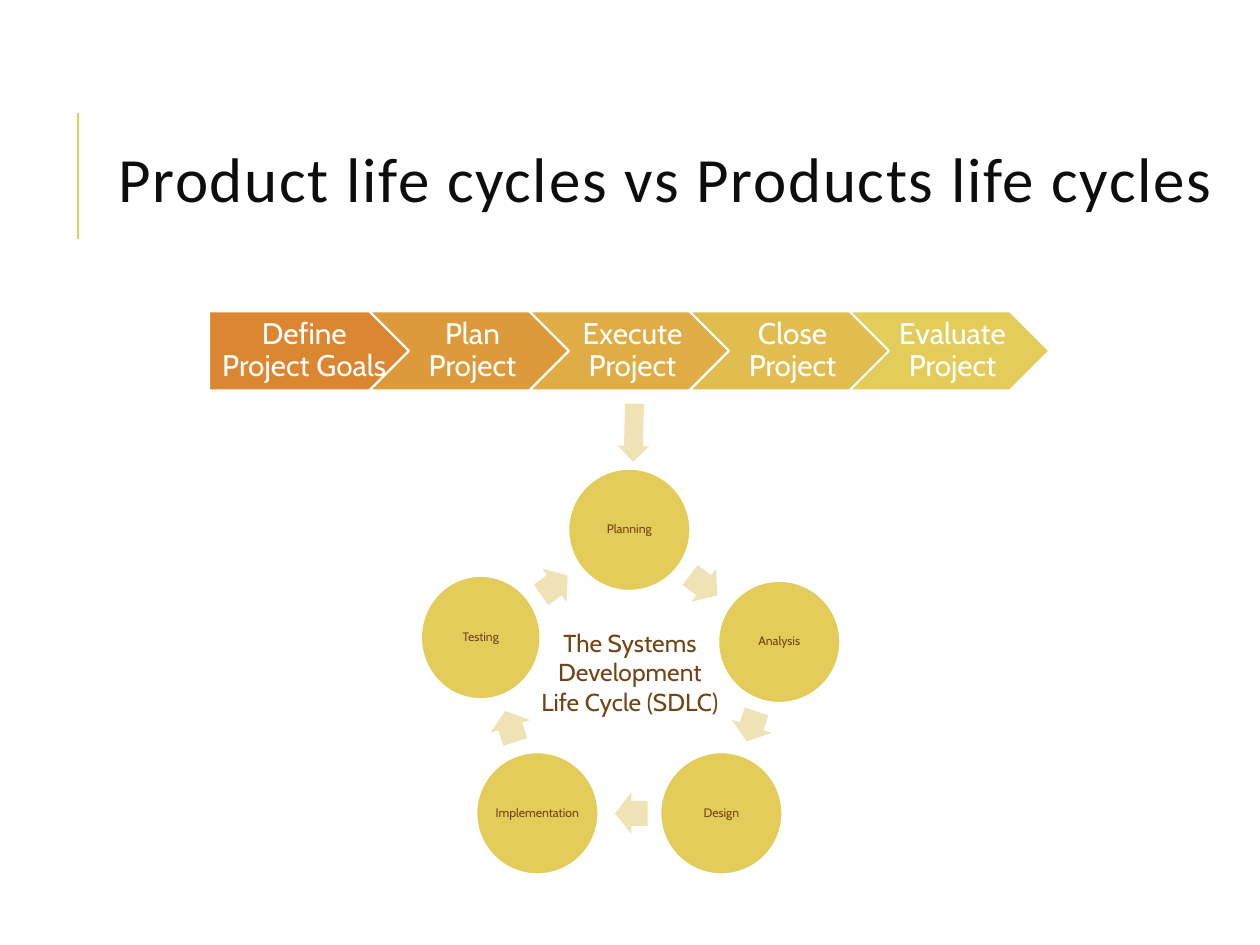
import pptx
import pptx.util
import pptx.dml.color
import pptx.enum.shapes
import pptx.enum.text
import pptx.oxml
import pptx.oxml.ns

RGBColor = pptx.dml.color.RGBColor
SHAPE = pptx.enum.shapes.MSO_SHAPE
ALIGN = pptx.enum.text.PP_ALIGN
ANCHOR = pptx.enum.text.MSO_ANCHOR

GOLD = RGBColor(0xE3, 0xCC, 0x5A)
PALE = RGBColor(0xEF, 0xE2, 0xB5)
BROWN = RGBColor(0x72, 0x43, 0x14)
INK = RGBColor(0x0D, 0x0D, 0x0D)
WHITE = RGBColor(0xFF, 0xFF, 0xFF)

PX = 9144

TITLE = "Product life cycles vs Products life cycles"
CENTRE_LABEL = "The Systems Development Life Cycle (SDLC)"
PHASES = [
    ("Define Project Goals", RGBColor(0xDB, 0x86, 0x31)),
    ("Plan Project", RGBColor(0xDD, 0x9A, 0x3B)),
    ("Execute Project", RGBColor(0xDF, 0xAC, 0x45)),
    ("Close Project", RGBColor(0xE1, 0xBD, 0x50)),
    ("Evaluate Project", GOLD),
]
STAGES = [
    ("Planning", 451, 372, 97, 97),
    ("Analysis", 570, 461, 97, 97),
    ("Design", 524, 597, 97, 97),
    ("Implementation", 378, 597, 97, 97),
    ("Testing", 334, 457, 95, 98),
]
ARROWS = [
    (545, 448, 27, 33, 36.9),
    (584, 560, 25, 33, 108.3),
    (488, 629, 26, 33, 180),
    (392, 560, 26, 33, 252),
    (427, 448, 26, 33, 324),
    (480, 331, 46, 25, 91.3),
]
PHASE_LEFT, PHASE_TOP, PHASE_WIDTH, PHASE_HEIGHT, PHASE_STEP = 166, 247, 159, 63, 127


def emu(*lengths):
    return [length * PX for length in lengths]


def add_shape(page, kind, place, fill, outline=None):
    shape = page.shapes.add_shape(kind, *emu(*place))
    shape.shadow.inherit = False
    shape.fill.solid()
    shape.fill.fore_color.rgb = fill
    if outline is None:
        shape.line.fill.background()
    else:
        shape.line.color.rgb = outline
        shape.line.width = pptx.util.Pt(1.25)
    return shape


def write(shape, text, size, color, font="Cabin", align=ALIGN.CENTER,
          insets=(10, 5, 10, 5), spacing=1.0):
    frame = shape.text_frame
    frame.word_wrap = True
    frame.vertical_anchor = ANCHOR.MIDDLE
    (frame.margin_left, frame.margin_top,
     frame.margin_right, frame.margin_bottom) = emu(*insets)
    para = frame.paragraphs[0]
    para.alignment = align
    para.line_spacing = spacing
    span = para.add_run()
    span.text = text
    span.font.name = font
    span.font.size = pptx.util.Pt(size)
    span.font.color.rgb = color
    return span


def add_title(page):
    rule = page.shapes.add_connector(
        pptx.enum.shapes.MSO_CONNECTOR.STRAIGHT, *emu(62, 190, 62, 90))
    rule.line.color.rgb = GOLD
    rule.line.width = pptx.util.Pt(1.5)
    rule._element.spPr.append(pptx.oxml.parse_xml(
        "<a:effectLst %s/>" % pptx.oxml.ns.nsdecls("a")))
    box = page.shapes.add_textbox(*emu(84, 64, 899, 164))
    span = write(box, TITLE, 36, INK, "Calibri", ALIGN.LEFT, spacing=0.8)
    span.font._element.set("spc", "100")


def add_phases(page):
    for index, (label, fill) in enumerate(PHASES):
        kind = SHAPE.CHEVRON if index else SHAPE.PENTAGON
        left = PHASE_LEFT + index * PHASE_STEP
        place = (left, PHASE_TOP, PHASE_WIDTH, PHASE_HEIGHT)
        phase = add_shape(page, kind, place, fill, WHITE)
        insets = (7 if index else 10, 5, 2, 5)
        write(phase, label, 17, WHITE, insets=insets, spacing=0.9)


def add_cycle(page):
    for label, *place in STAGES:
        circle = add_shape(page, SHAPE.OVAL, place, GOLD, WHITE)
        write(circle, label, 7, BROWN, insets=(1, 1, 1, 1), spacing=0.9)
    for *place, angle in ARROWS:
        arrow = add_shape(page, SHAPE.RIGHT_ARROW, place, PALE)
        arrow.adjustments[0] = 0.6
        arrow.adjustments[1] = 0.5
        arrow.rotation = angle
    box = page.shapes.add_textbox(*emu(417, 493, 166, 81))
    write(box, CENTRE_LABEL, 14, BROWN)


def main():
    deck = pptx.Presentation()
    deck.slide_width, deck.slide_height = emu(1000, 750)
    page = deck.slides.add_slide(deck.slide_layouts[6])
    add_title(page)
    add_phases(page)
    add_cycle(page)
    deck.save("out.pptx")


if __name__ == "__main__":
    main()
